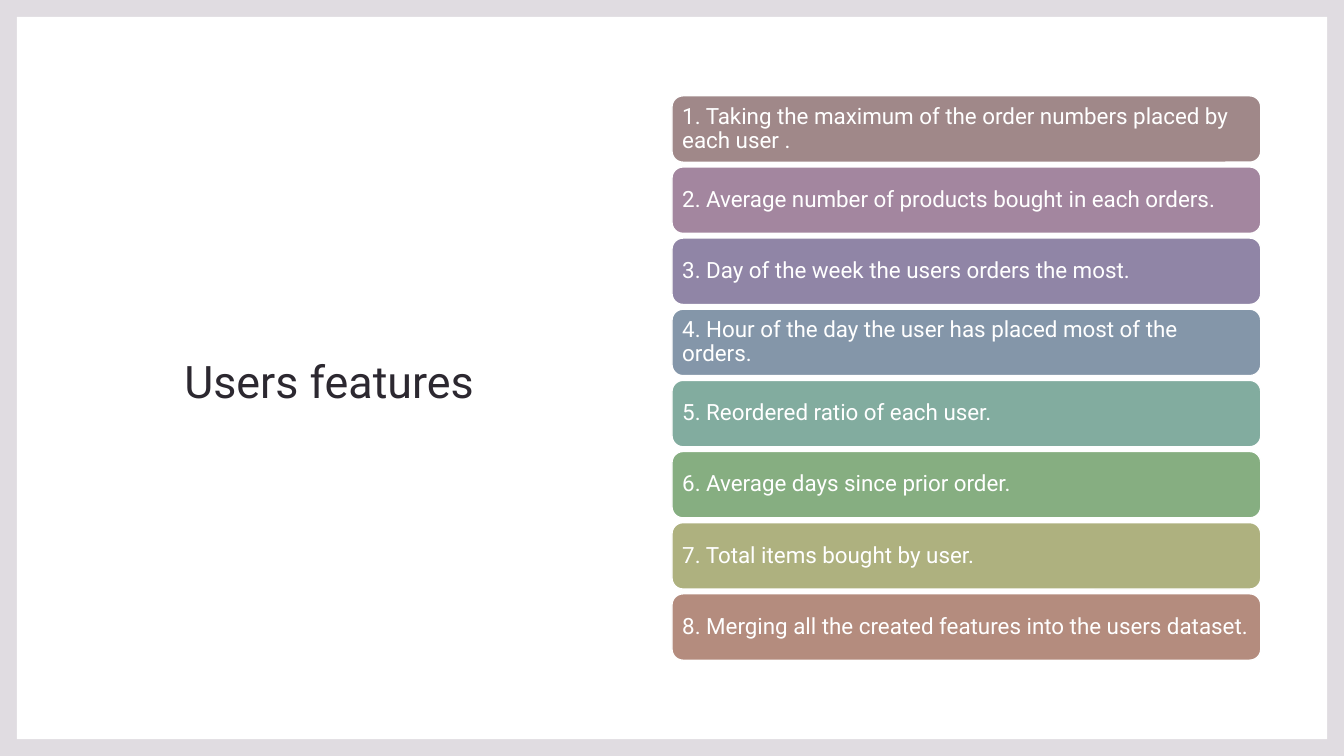
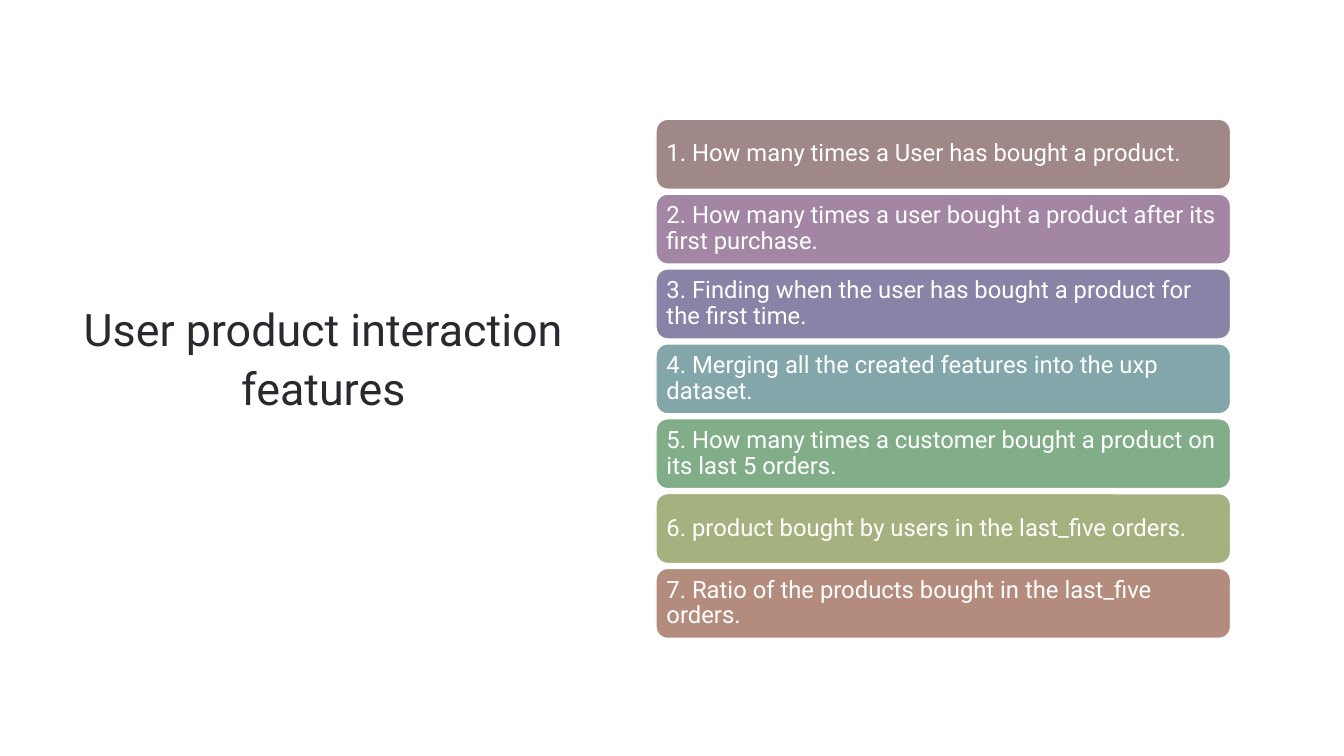
from dataclasses import dataclass

from pptx import Presentation
from pptx.dml.color import RGBColor
from pptx.enum.shapes import MSO_SHAPE
from pptx.enum.text import MSO_ANCHOR, PP_ALIGN
from pptx.util import Inches, Pt

RECTANGLE = MSO_SHAPE.RECTANGLE
ROUNDED = MSO_SHAPE.ROUNDED_RECTANGLE
MIDDLE = MSO_ANCHOR.MIDDLE
LEFT, CENTER = PP_ALIGN.LEFT, PP_ALIGN.CENTER

SLIDE_WIDTH, SLIDE_HEIGHT = Inches(13.33), Inches(7.5)
COLUMNS, ROWS = 16, 9
FULL_SLIDE = (0, 0, COLUMNS, ROWS)
FRAME_MARGIN = 0.2
GAP_SHARE = 0.07
BAR_INSET = Inches(0.07)


@dataclass(frozen=True)
class Theme:
    font: str = "Roboto"
    ink: str = "2C2830"
    paper: str = "FFFFFF"
    frame: str = "E0DCE1"
    title_size: int = 32
    title_spacing: float = 1.1
    bar_spacing: float = 0.9
    bar_outline: float = 1


THEME = Theme()

USER_FEATURES = {
    "title": "Users features",
    "title_box": (1.27, 1.35, 5.3, 6.3),
    "bars_box": (8, 1.14, 7.01, 6.72),
    "bar_size": 16,
    "framed": True,
    "features": [
        ("Taking the maximum of the order numbers placed by each user .", "A08889"),
        ("Average number of products bought in each orders.", "A3869F"),
        ("Day of the week the users orders the most.", "9085A6"),
        ("Hour of the day the user has placed most of the orders.", "8496A9"),
        ("Reordered ratio of each user.", "82AC9F"),
        ("Average days since prior order.", "86AE81"),
        ("Total items bought by user.", "AEB17F"),
        ("Merging all the created features into the users dataset.", "B48C7E"),
    ],
}

INTERACTION_FEATURES = {
    "title": "User product interaction features",
    "title_box": (0.61, 2.52, 6.48, 3.42),
    "bars_box": (7.81, 1.42, 6.84, 6.18),
    "bar_size": 17,
    "framed": False,
    "features": [
        ("How many times a User has bought a product.", "A08889"),
        ("How many times a user bought a product after its first purchase.", "A386A3"),
        ("Finding when the user has bought a product for the first time.", "8784A7"),
        ("Merging all the created features into the uxp dataset.", "83A6AA"),
        ("How many times a customer bought a product on its last 5 orders.", "81AE88"),
        ("product bought by users in the last_five orders.", "A6B180"),
        ("Ratio of the products bought in the last_five orders.", "B48C7E"),
    ],
}


def on_grid(box):
    left, top, width, height = box
    column, row = SLIDE_WIDTH / COLUMNS, SLIDE_HEIGHT / ROWS
    return (round(left * column), round(top * row),
            round(width * column), round(height * row))


def apply_format(target, values):
    for attribute, value in values.items():
        setattr(target, attribute, value)


def write_text(frame, text, size, color, alignment, spacing, **frame_format):
    apply_format(frame, {"word_wrap": True, "vertical_anchor": MIDDLE, **frame_format})
    paragraph = frame.paragraphs[0]
    apply_format(paragraph, {"alignment": alignment, "line_spacing": spacing})
    run = paragraph.add_run()
    run.text = text
    apply_format(run.font, {"name": THEME.font, "size": Pt(size)})
    run.font.color.rgb = RGBColor.from_string(color)


def add_block(slide, preset, box, fill):
    block = slide.shapes.add_shape(preset, *on_grid(box))
    block.shadow.inherit = False
    block.fill.solid()
    block.fill.fore_color.rgb = RGBColor.from_string(fill)
    block.line.fill.background()
    return block


def add_backdrop(slide, box, framed):
    add_block(slide, RECTANGLE, box, THEME.frame if framed else THEME.paper)
    if framed:
        left, top, width, height = box
        panel = (left + FRAME_MARGIN, top + FRAME_MARGIN,
                 width - 2 * FRAME_MARGIN, height - 2 * FRAME_MARGIN)
        add_block(slide, RECTANGLE, panel, THEME.paper)


def add_title(slide, box, text):
    title = slide.shapes.add_textbox(*on_grid(box))
    write_text(title.text_frame, text, THEME.title_size, THEME.ink,
               CENTER, THEME.title_spacing)


def add_feature_bars(slide, box, features, size):
    left, top, width, height = box
    count = len(features)
    bar_height = height / (count + (count - 1) * GAP_SHARE)
    pitch = bar_height * (1 + GAP_SHARE)
    insets = {f"margin_{side}": BAR_INSET for side in ("left", "top", "right", "bottom")}
    for index, (feature, fill) in enumerate(features):
        bar = add_block(slide, ROUNDED, (left, top + index * pitch, width, bar_height), fill)
        bar.line.color.rgb = RGBColor.from_string(THEME.paper)
        bar.line.width = Pt(THEME.bar_outline)
        write_text(bar.text_frame, f"{index + 1}. {feature}", size, THEME.paper,
                   LEFT, THEME.bar_spacing, **insets)


def add_feature_slide(deck, content):
    slide = deck.slides.add_slide(deck.slide_layouts[6])
    add_backdrop(slide, FULL_SLIDE, content["framed"])
    add_title(slide, content["title_box"], content["title"])
    add_feature_bars(slide, content["bars_box"], content["features"], content["bar_size"])


def main():
    deck = Presentation()
    apply_format(deck, {"slide_width": SLIDE_WIDTH, "slide_height": SLIDE_HEIGHT})
    for content in (USER_FEATURES, INTERACTION_FEATURES):
        add_feature_slide(deck, content)
    deck.save("out.pptx")


if __name__ == "__main__":
    main()
